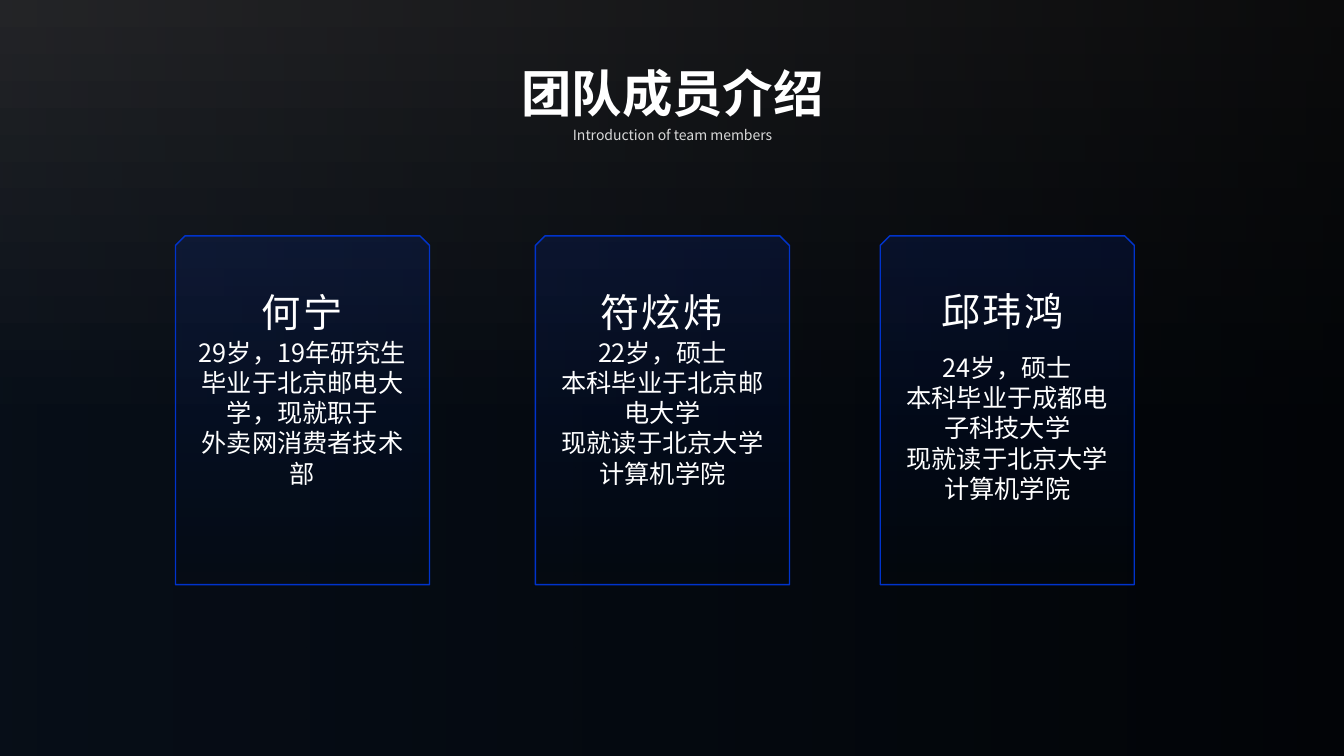
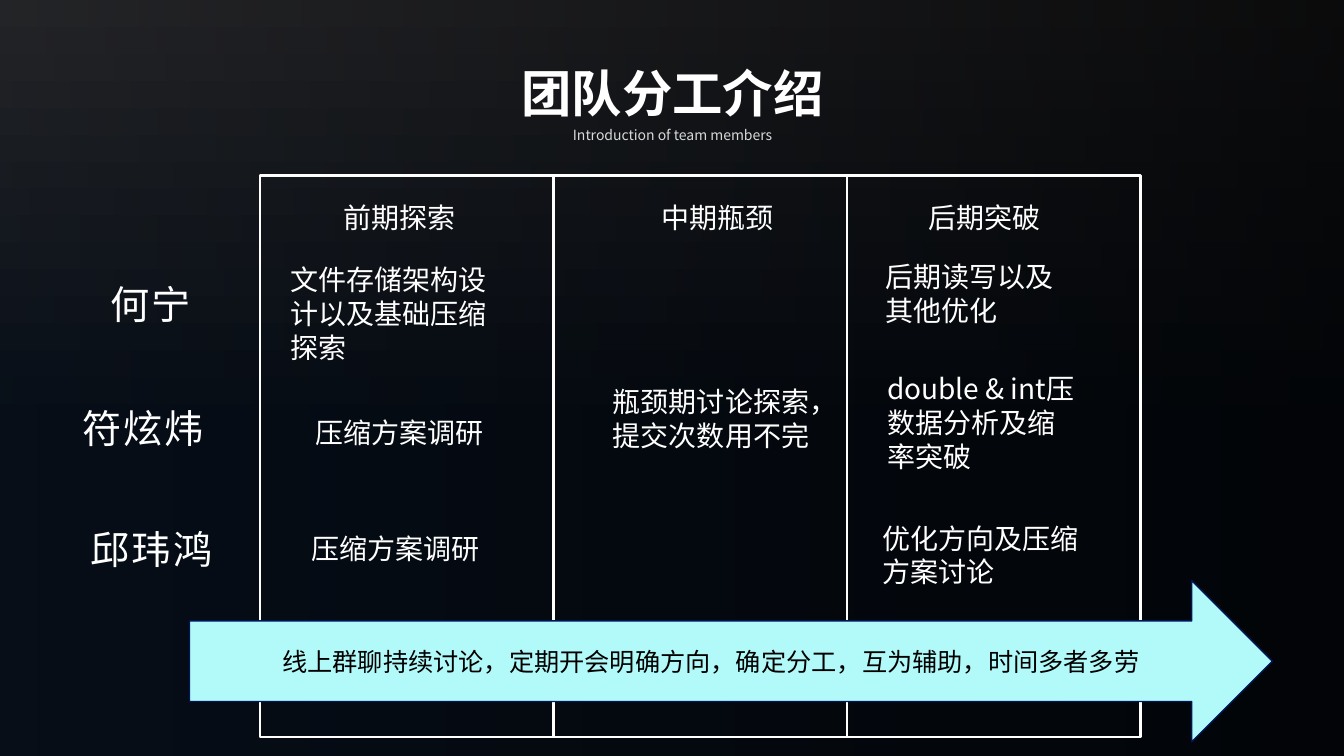
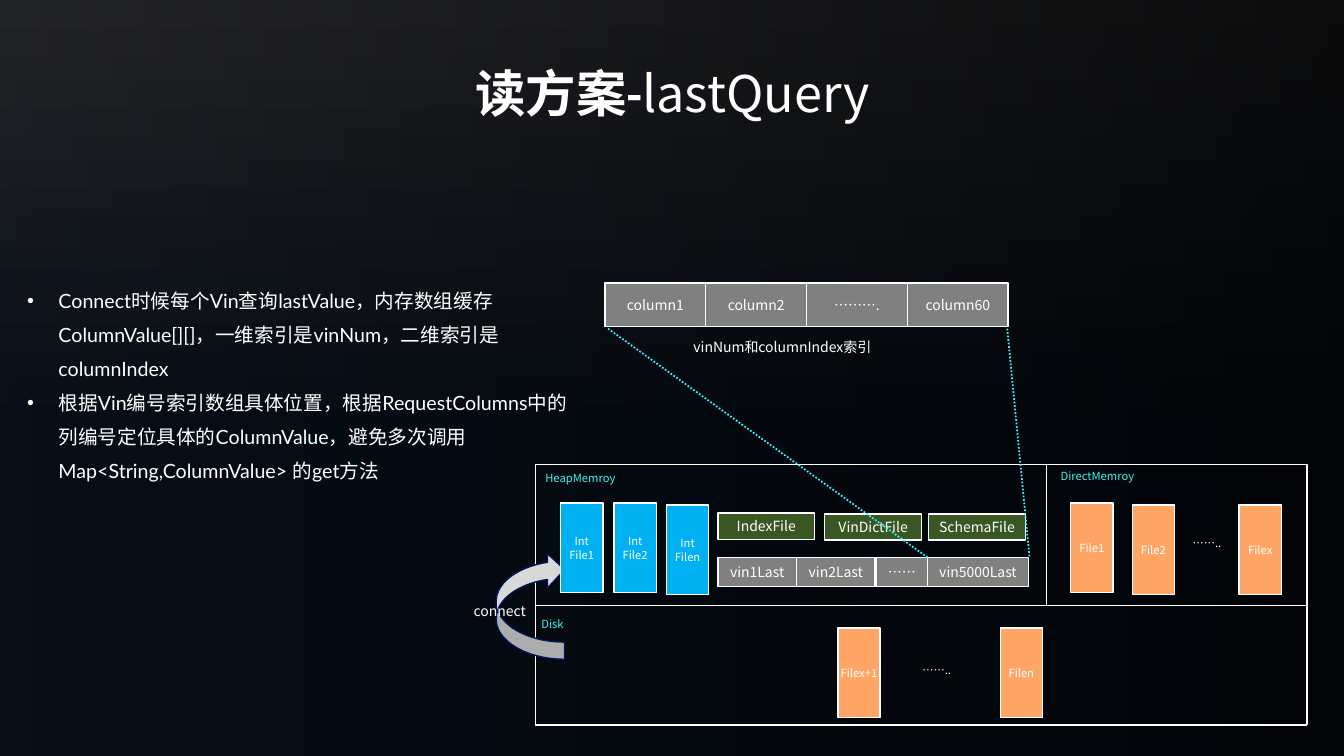
"""Build three dark slides: team members, division of work and the lastQuery read design."""
from dataclasses import dataclass

from lxml.etree import SubElement
from pptx import Presentation
from pptx.dml.color import RGBColor
from pptx.enum.dml import MSO_LINE
from pptx.enum.shapes import MSO_CONNECTOR, MSO_SHAPE as Preset
from pptx.enum.text import MSO_ANCHOR as Anchor, MSO_AUTO_SIZE, PP_ALIGN as Align
from pptx.oxml.ns import qn
from pptx.util import Inches, Pt


@dataclass(frozen=True)
class Theme:
    white: str = "FFFFFF"
    black: str = "000000"
    subtitle: str = "D9D9D9"
    card: str = "0033CC"
    arrow: str = "B2FAF9"
    arrow_line: str = "001659"
    area: str = "3EF3EF"
    dots: str = "3EF3FD"
    int_file: str = "00B0F0"
    data_file: str = "FFA666"
    index: str = "385723"
    cell: str = "808080"
    font: str = "Noto Sans CJK JP"
    title_font: str = "Calibri"
    list_font: str = "Lato"
    title_size: int = 36
    name_size: int = 28
    phase_size: int = 20
    body_size: int = 18
    list_size: int = 14
    small_size: int = 10
    label_size: int = 8


theme = Theme()


def add_run(paragraph, text, size, color=theme.white, font=theme.font, bold=False, spacing=0):
    run = paragraph.add_run()
    run.text = text
    run.font.size = Pt(size)
    run.font.bold = bold
    run.font.name = font
    run.font.color.rgb = RGBColor.from_string(color)
    properties = run.font._element
    SubElement(properties, qn("a:ea")).set("typeface", theme.font)
    if spacing:
        properties.set("spc", str(int(spacing * 100)))


def add_box(slide, at, lines=(), size=theme.small_size, preset=None, fill=None, line=None,
            width=1, align=None, wrap=True, inset=0.1, **run_style):
    at = [Inches(length) for length in at]
    if preset is None:
        shape = slide.shapes.add_textbox(*at)
    else:
        shape = slide.shapes.add_shape(preset, *at)
        shape.shadow.inherit = False
        align = Align.CENTER
        shape.text_frame.vertical_anchor = Anchor.MIDDLE
        if isinstance(fill, tuple):
            angle, stops = fill
            shape.fill.gradient()
            shape.fill.gradient_angle = angle
            for stop, (position, color, opacity) in zip(shape.fill.gradient_stops, stops):
                stop.position = position
                stop.color.rgb = RGBColor.from_string(color)
                color_element = stop._gs.find(qn("a:srgbClr"))
                SubElement(color_element, qn("a:alpha")).set("val", str(opacity * 1000))
        elif fill:
            shape.fill.solid()
            shape.fill.fore_color.rgb = RGBColor.from_string(fill)
        else:
            shape.fill.background()
        if line:
            shape.line.color.rgb = RGBColor.from_string(line)
            shape.line.width = Pt(width)
        else:
            shape.line.fill.background()
    frame = shape.text_frame
    frame.word_wrap = wrap
    frame.margin_left = frame.margin_right = Inches(inset)
    for index, text in enumerate(lines):
        paragraph = frame.add_paragraph() if index else frame.paragraphs[0]
        paragraph.alignment = align
        add_run(paragraph, text, size, **run_style)
    return shape


presentation = Presentation()
presentation.slide_width = Inches(13.33)
presentation.slide_height = Inches(7.5)
master = presentation.slide_master
master_title = master.placeholders[0]
master_title.left, master_title.top = Inches(3.34), Inches(0.57)
master_title.width, master_title.height = Inches(6.66), Inches(0.71)
master_title.text_frame.vertical_anchor = Anchor.TOP
master_title.text_frame.auto_size = MSO_AUTO_SIZE.NONE

content_layout, title_layout = presentation.slide_layouts[1], presentation.slide_layouts[5]
slides = [presentation.slides.add_slide(layout)
          for layout in (title_layout, title_layout, content_layout)]
members, work, query = slides

bands = [
    (270, [(0, "28292C", 100), (0.57, "08101B", 100)]),
    (0, [(0, theme.black, 11), (1, theme.black, 73)]),
]
for index, gradient in enumerate(bands):
    band = add_box(members, (0, 0, 13.33, 7.5), preset=Preset.RECTANGLE, fill=gradient)
    band.element.nvSpPr.cNvPr.id = 101 + index
    master.shapes.element.insert(2 + index, band.element)

for slide, title in zip(slides, ("团队成员介绍", "团队分工介绍", "读方案-")):
    add_run(slide.shapes.title.text_frame.paragraphs[0], title, theme.title_size,
            font=theme.title_font, bold=True)
add_run(query.shapes.title.text_frame.paragraphs[0], "lastQuery", theme.title_size)
for slide in (members, work):
    add_box(slide, (3.39, 1.21, 6.56, 0.27), ["Introduction of team members"],
            align=Align.CENTER, color=theme.subtitle)

cards = [
    (1.74, 0.05, ["29岁，19年研究生毕业于北京邮电大学，现就职于", "外卖网消费者技术部"]),
    (5.31, 0.05, ["22岁，硕士", "本科毕业于北京邮电大学", "现就读于北京大学计算机学院"]),
    (8.73, 0.35, ["24岁，硕士", "本科毕业于成都电子科技大学", "现就读于北京大学计算机学院"]),
]
card_fill = (270, [(0, theme.card, 15), (1, theme.card, 0)])
for left, top_inset, lines in cards:
    card = add_box(members, (left, 2.34, 2.52, 3.46), lines, theme.body_size,
                   Preset.SNIP_2_SAME_RECTANGLE, card_fill, theme.card)
    card.adjustments[0], card.adjustments[1] = 0.038, 0
    card.text_frame.margin_top = Inches(top_inset)

names = [
    (members, 2.5, 2.81, 1.02, "何宁"),
    (members, 5.86, 2.81, 1.42, "符炫炜"),
    (members, 9.24, 2.8, 1.42, "邱玮鸿"),
    (work, 1, 2.73, 1.02, "何宁"),
    (work, 0.72, 3.96, 1.42, "符炫炜"),
    (work, 0.8, 5.16, 1.42, "邱玮鸿"),
]
for slide, left, top, width, name in names:
    add_box(slide, (left, top, width, 0.57), [name], theme.name_size, wrap=False, spacing=1.5)

phase_width = 2.91
for column in range(3):
    add_box(work, (2.58 + column * phase_width, 1.74, phase_width, 5.57),
            preset=Preset.RECTANGLE, line=theme.white, width=1.75)
tasks = [
    (3.31, 1.94, 1.57, "前期探索"),
    (6.46, 1.94, 1.57, "中期瓶颈"),
    (9.11, 1.94, 1.57, "后期突破"),
    (2.78, 2.56, 2.42, "文件存储架构设计以及基础压缩探索"),
    (3.03, 4.07, 2.42, "压缩方案调研"),
    (2.99, 5.22, 2.42, "压缩方案调研"),
    (5.98, 3.77, 2.42, "瓶颈期讨论探索，提交次数用不完"),
    (8.68, 2.53, 2, "后期读写以及其他优化"),
    (8.7, 3.64, 2.13, "double & int压数据分析及缩率突破"),
    (8.65, 5.12, 2.42, "优化方向及压缩方案讨论"),
]
for left, top, width, task in tasks:
    add_box(work, (left, top, width, 0.44), [task], theme.phase_size)
add_box(work, (1.88, 5.76, 10.74, 1.6),
        ["线上群聊持续讨论，定期开会明确方向，确定分工，互为辅助，时间多者多劳"],
        theme.body_size, Preset.RIGHT_ARROW, theme.arrow, theme.arrow_line, color=theme.black)

areas = [
    ((5.31, 4.61, 7.65, 2.59), (5.31, 4.63, 0.92, 0.24), "HeapMemroy"),
    ((10.38, 4.61, 2.59, 1.4), (10.42, 4.61, 0.95, 0.24), "DirectMemroy"),
    ((5.31, 6.01, 7.66, 1.18), (5.27, 6.08, 0.42, 0.24), "Disk"),
]
for area_at, label_at, label in areas:
    add_box(query, area_at, preset=Preset.RECTANGLE, line=theme.white)
    add_box(query, label_at, [label], theme.label_size, wrap=False, color=theme.area)

connect_arrow = add_box(query, (4.73, 5.67, 1.06, 0.68), preset=Preset.CURVED_DOWN_ARROW,
                        fill="D9D9D9", line=theme.arrow_line)
connect_arrow.rotation = 270

files = [
    (5.56, 4.99, theme.int_file, ["Int", "File1"]),
    (6.09, 4.99, theme.int_file, ["Int", "File2"]),
    (6.61, 5.01, theme.int_file, ["Int", "Filen"]),
    (10.62, 4.99, theme.data_file, ["File1"]),
    (11.23, 5.01, theme.data_file, ["File2"]),
    (12.29, 5.01, theme.data_file, ["Filex"]),
    (8.31, 6.23, theme.data_file, ["Filex+1"]),
    (9.92, 6.23, theme.data_file, ["Filen"]),
]
for left, top, color, lines in files:
    add_box(query, (left, top, 0.42, 0.89), lines, theme.label_size, Preset.RECTANGLE,
            color, theme.white, wrap=False, inset=0)
for left, top in ((11.73, 5.27), (9.05, 6.53)):
    add_box(query, (left, top, 0.51, 0.24), ["…….."], theme.label_size, wrap=False)

cells = [
    (7.12, 5.09, 0.96, 0.26, theme.index, "IndexFile"),
    (8.18, 5.1, 0.96, 0.26, theme.index, "VinDictFile"),
    (9.21, 5.1, 0.96, 0.26, theme.index, "SchemaFile"),
    (7.12, 5.53, 0.78, 0.29, theme.cell, "vin1Last"),
    (7.9, 5.53, 0.78, 0.29, theme.cell, "vin2Last"),
    (8.69, 5.53, 0.51, 0.29, theme.cell, "……"),
    (9.2, 5.53, 1, 0.29, theme.cell, "vin5000Last"),
]
for column, label in enumerate(("column1", "column2", "……….", "column60")):
    cells.append((6 + column, 2.81, 1, 0.43, theme.cell, label))
for left, top, width, height, color, label in cells:
    add_box(query, (left, top, width, height), [label], theme.small_size, Preset.RECTANGLE,
            color, theme.white)

add_box(query, (4.6, 5.93, 1.1, 0.27), ["connect"])
add_box(query, (6.78, 3.31, 2, 0.27), ["vinNum和columnIndex索引"])
for ends in ((9.2, 5.53, 6.03, 3.26), (10.21, 5.52, 9.99, 3.26)):
    connector = query.shapes.add_connector(MSO_CONNECTOR.STRAIGHT, *map(Inches, ends))
    connector.line.color.rgb = RGBColor.from_string(theme.dots)
    connector.line.width = Pt(1.25)
    connector.line.dash_style = MSO_LINE.ROUND_DOT
    SubElement(connector.element.spPr, qn("a:effectLst"))

notes = query.placeholders[1]
notes.left, notes.top = Inches(0.17), Inches(2.71)
notes.width, notes.height = Inches(5.72), Inches(2.12)
notes.text_frame.auto_size = MSO_AUTO_SIZE.NONE
points = [
    "Connect时候每个Vin查询lastValue，内存数组缓存ColumnValue[][]，一维索引是vinNum，二维索引是columnIndex",
    "根据Vin编号索引数组具体位置，根据RequestColumns中的列编号定位具体的ColumnValue，"
    "避免多次调用Map<String,ColumnValue> 的get方法",
]
for index, point in enumerate(points):
    paragraph = notes.text_frame.add_paragraph() if index else notes.text_frame.paragraphs[0]
    paragraph.line_spacing = 1.45
    paragraph.space_before = Pt(0)
    properties = paragraph._p.get_or_add_pPr()
    properties.set("marL", str(Inches(0.31)))
    properties.set("indent", str(Inches(-0.31)))
    SubElement(properties, qn("a:buChar")).set("char", "•")
    add_run(paragraph, point, theme.list_size, font=theme.list_font)

presentation.save("out.pptx")
